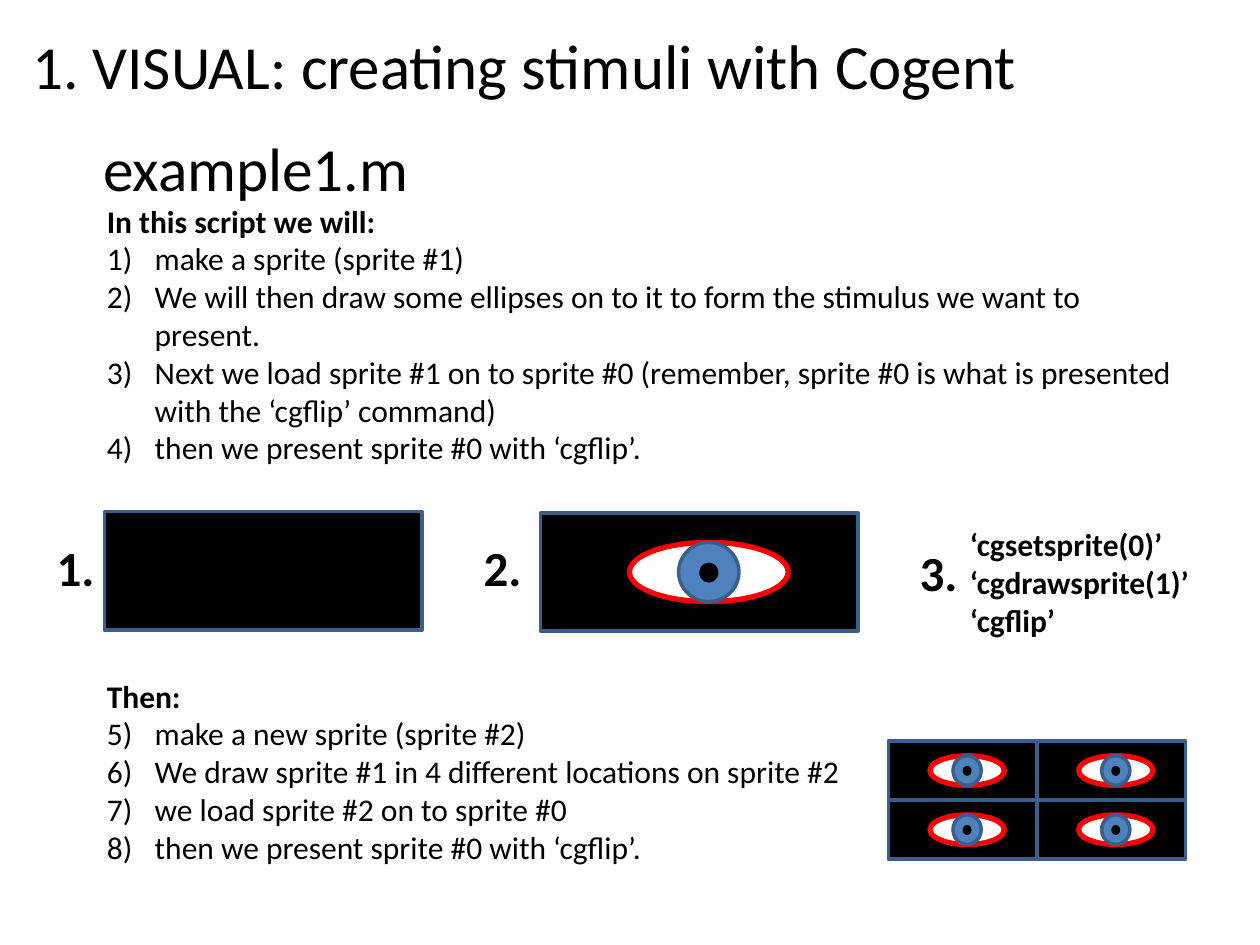
from dataclasses import dataclass
from typing import NamedTuple

from lxml import etree
from pptx import Presentation
from pptx.dml.color import RGBColor
from pptx.enum import shapes, text
from pptx.oxml.ns import qn
from pptx.util import Inches, Pt


@dataclass(frozen=True)
class Theme:
    font: str = "Calibri"
    black: str = "000000"
    white: str = "FFFFFF"
    red: str = "FF0000"
    iris: str = "4F81BD"
    border: str = "3A5F8C"
    title: int = 35
    title_large: int = 36
    number: int = 28
    body: int = 18


class Box(NamedTuple):
    x: float
    y: float
    w: float
    h: float


class Part(NamedTuple):
    """One ellipse of the eye, placed as fractions of its sprite."""
    box: Box
    fill: str
    line: str | None
    width: float


THEME = Theme()
SPRITE_W, SPRITE_H = 2.52, 0.94
SMALL_W, SMALL_H = 1.18, 0.47

EYE = [
    Part(Box(0.28, 0.25, 0.5, 0.5), THEME.white, THEME.red, 3),
    Part(Box(0.435, 0.25, 0.19, 0.5), THEME.iris, THEME.border, 2),
    Part(Box(0.5, 0.42, 0.06, 0.17), THEME.black, None, 0),
]

FIRST_STEPS = [
    "make a sprite (sprite #1)",
    "We will then draw some ellipses on to it to form the stimulus we want to present.",
    "Next we load sprite #1 on to sprite #0 (remember, sprite #0 is what is "
    "presented with the ‘cgflip’ command)",
    "then we present sprite #0 with ‘cgflip’.",
]
NEXT_STEPS = [
    "make a new sprite (sprite #2)",
    "We draw sprite #1 in 4 different locations on sprite #2",
    "we load sprite #2 on to sprite #0",
    "then we present sprite #0 with ‘cgflip’.",
]
COMMANDS = ["‘cgsetsprite(0)’", "‘cgdrawsprite(1)’", "‘cgflip’"]


def inches(box: Box) -> list[int]:
    return [Inches(v) for v in box]


def add_run(p, content: str, *, size: int, bold: bool = False) -> None:
    r = p.add_run()
    r.text = content
    r.font.name = THEME.font
    r.font.size = Pt(size)
    r.font.bold = bold
    r.font.color.rgb = RGBColor.from_string(THEME.black)


def add_number(p, start: int) -> None:
    """Make the paragraph part of a numbered list that begins at start."""
    pPr = p._p.get_or_add_pPr()
    pPr.set("marL", str(Inches(0.38)))
    pPr.set("indent", str(Inches(-0.38)))
    bullet = etree.SubElement(pPr, qn("a:buAutoNum"), type="arabicParenR")
    if start > 1:
        bullet.set("startAt", str(start))


def add_text(slide, box: Box, lines: list[str], *, size: int = THEME.body,
             bold: bool = False, middle: bool = False):
    tf = slide.shapes.add_textbox(*inches(box)).text_frame
    tf.word_wrap = True
    if middle:
        tf.vertical_anchor = text.MSO_ANCHOR.MIDDLE
    else:
        tf.auto_size = text.MSO_AUTO_SIZE.SHAPE_TO_FIT_TEXT
    for i, line in enumerate(lines):
        p = tf.add_paragraph() if i else tf.paragraphs[0]
        add_run(p, line, size=size, bold=bold)
    return tf


def add_steps(slide, box: Box, heading: str, steps: list[str], start: int = 1) -> None:
    tf = add_text(slide, box, [heading], bold=True)
    for step in steps:
        p = tf.add_paragraph()
        add_number(p, start)
        add_run(p, step, size=THEME.body)


def add_shape(parent, kind: shapes.MSO_SHAPE, box: Box, fill: str,
              line: str | None, width: float) -> None:
    sp = parent.shapes.add_shape(kind, *inches(box))
    sp.shadow.inherit = False
    sp.fill.solid()
    sp.fill.fore_color.rgb = RGBColor.from_string(fill)
    if line is None:
        sp.line.fill.background()
    else:
        sp.line.color.rgb = RGBColor.from_string(line)
        sp.line.width = Pt(width)


def add_sprite(parent, box: Box) -> None:
    add_shape(parent, shapes.MSO_SHAPE.RECTANGLE, box, THEME.black, THEME.border, 2)


def add_eye_sprite(slide, box: Box) -> None:
    group = slide.shapes.add_group_shape()
    add_sprite(group, box)
    for part in EYE:
        f = part.box
        place = Box(box.x + f.x * box.w, box.y + f.y * box.h, f.w * box.w, f.h * box.h)
        add_shape(group, shapes.MSO_SHAPE.OVAL, place, part.fill, part.line, part.width)


def main() -> None:
    prs = Presentation()
    prs.slide_width, prs.slide_height = Inches(10), Inches(7.5)
    s = prs.slides.add_slide(prs.slide_layouts[6])

    add_text(s, Box(0.72, 0.7, 9, 1.25), ["example1.m"], size=THEME.title, middle=True)
    add_steps(s, Box(0.75, 1.55, 8.66, 2.22), "In this script we will:", FIRST_STEPS)

    add_sprite(s, Box(0.83, 4.06, SPRITE_W, SPRITE_H))
    add_eye_sprite(s, Box(4.29, 4.07, SPRITE_W, SPRITE_H))
    add_text(s, Box(7.6, 4.12, 2.13, 1.01), COMMANDS, bold=True)
    for label, x, y in [("1.", 0.35, 4.22), ("2.", 3.74, 4.22), ("3.", 7.2, 4.26)]:
        add_text(s, Box(x, y, 0.79, 0.57), [label], size=THEME.number, bold=True)

    add_steps(s, Box(0.75, 5.32, 8.66, 1.62), "Then:", NEXT_STEPS, start=5)
    for row in range(2):
        for col in range(2):
            add_eye_sprite(s, Box(7.05 + col * SMALL_W, 5.88 + row * SMALL_H,
                                  SMALL_W, SMALL_H))

    tf = add_text(s, Box(0.16, 0.09, 9, 0.84), ["1. VISUAL:"], size=THEME.title, middle=True)
    add_run(tf.paragraphs[0], " creating stimuli with Cogent", size=THEME.title_large)

    prs.save("out.pptx")


if __name__ == "__main__":
    main()
